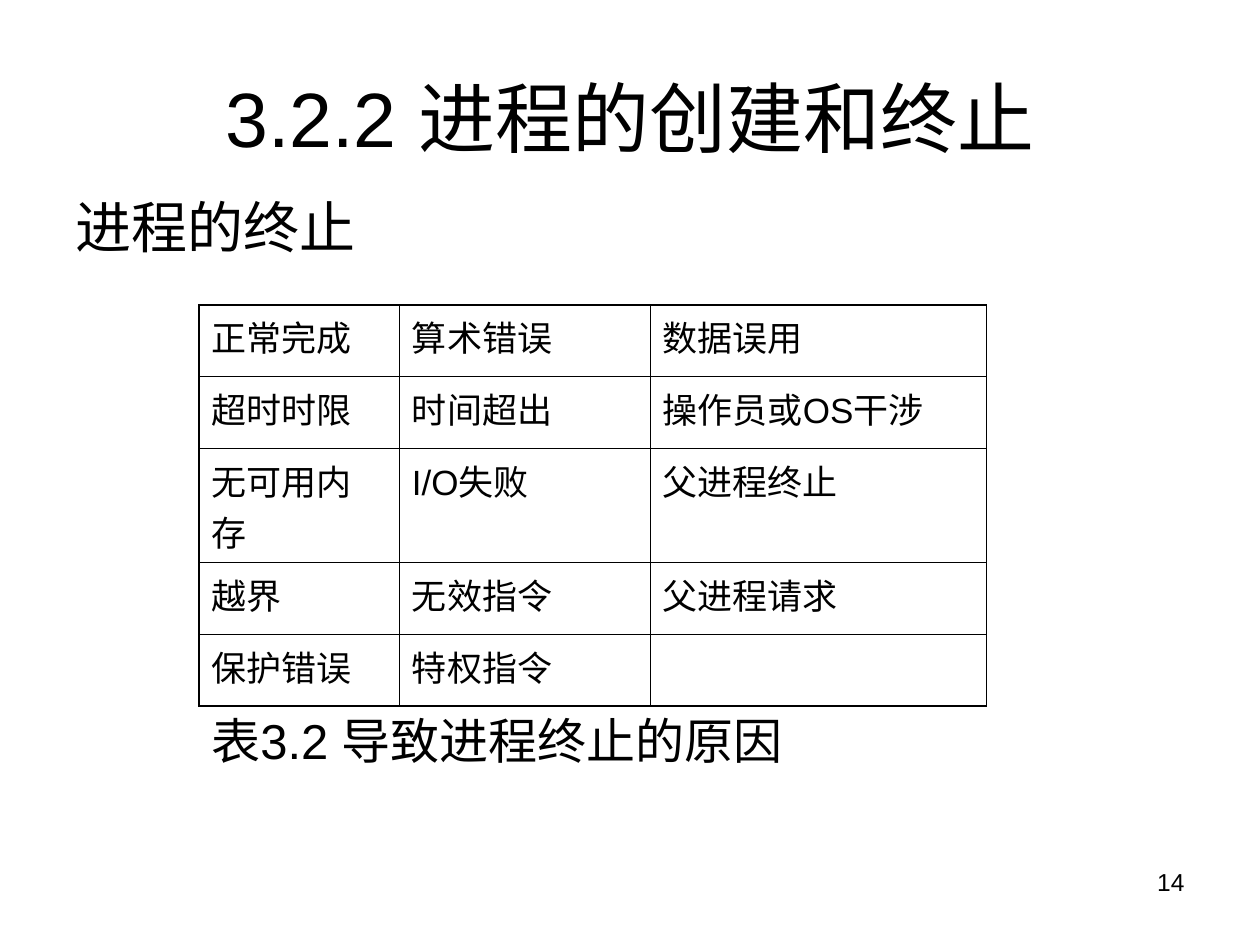
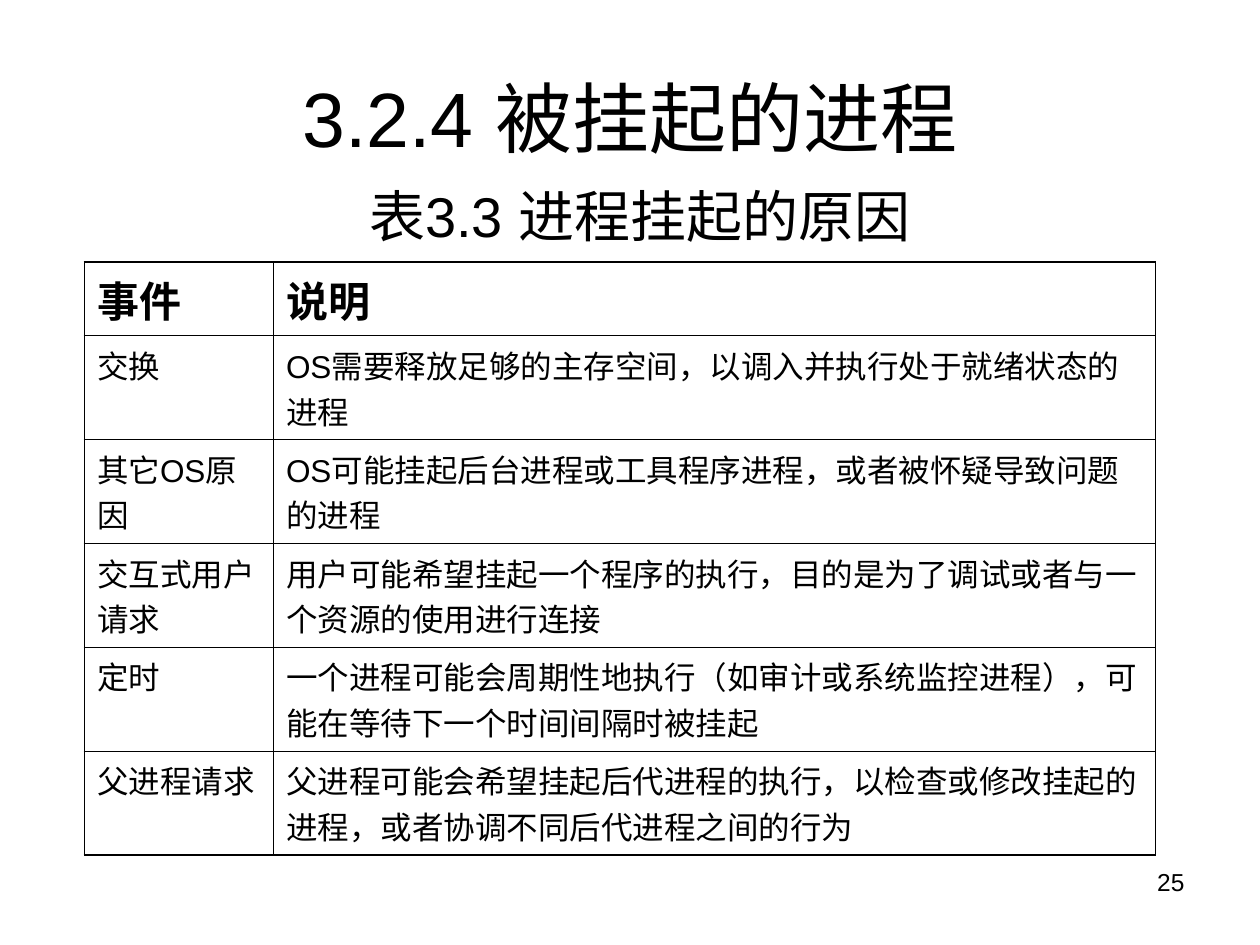
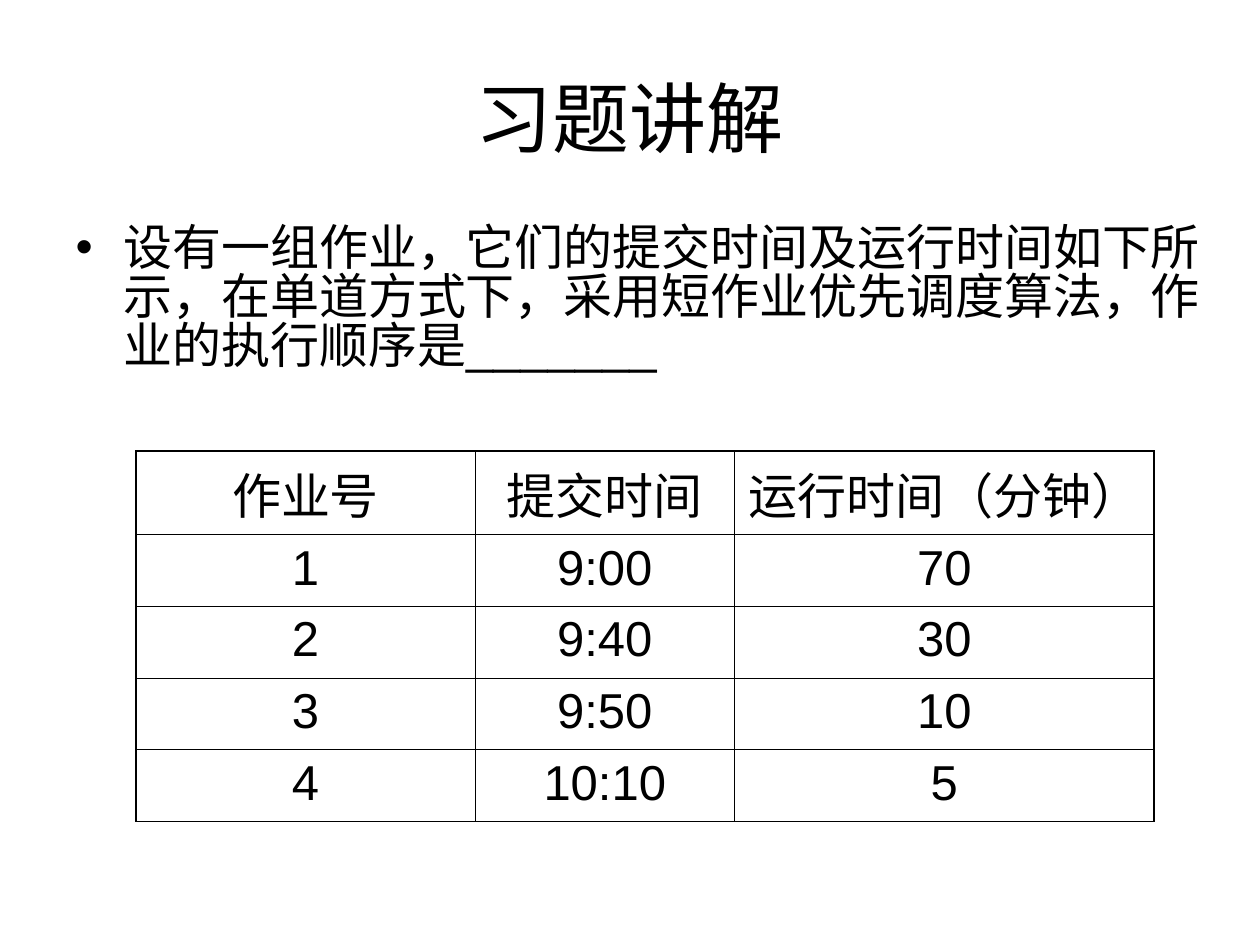
"""Build three lecture slides on process termination, suspension and scheduling."""
from dataclasses import dataclass

from lxml import etree
from pptx import Presentation
from pptx.dml.color import RGBColor
from pptx.enum.text import MSO_ANCHOR, MSO_AUTO_SIZE, PP_ALIGN
from pptx.oxml.ns import qn
from pptx.presentation import Presentation as Deck
from pptx.shapes.base import BaseShape
from pptx.slide import Slide
from pptx.table import _Cell
from pptx.text.text import TextFrame, _Paragraph
from pptx.util import Emu, Pt

LEFT, CENTER, RIGHT = PP_ALIGN.LEFT, PP_ALIGN.CENTER, PP_ALIGN.RIGHT
TOP, MIDDLE = MSO_ANCHOR.TOP, MSO_ANCHOR.MIDDLE
NO_AUTOFIT = MSO_AUTO_SIZE.NONE
EMU_PER_PX = 9144
TITLE_AND_BODY, TITLE_ONLY = 1, 5


@dataclass(frozen=True)
class Theme:
    """Font, colours, type sizes and line widths in points."""
    font: str = "Arial"
    ink: str = "000000"
    paper: str = "FFFFFF"
    title: int = 44
    heading: int = 32
    body: int = 28
    column_head: int = 24
    cell: int = 20
    description: int = 18
    page: int = 14
    frame: float = 1.08
    rule: float = 0.45
    body_spacing: float = 0.83


@dataclass(frozen=True)
class Box:
    """A rectangle in px."""
    left: int
    top: int
    width: int
    height: int


@dataclass(frozen=True)
class Style:
    """How a piece of text is set."""
    size: int
    align: PP_ALIGN = LEFT
    bold: bool = False


@dataclass(frozen=True)
class Label:
    """A free line of text."""
    text: str
    box: Box
    style: Style
    anchor: MSO_ANCHOR = MIDDLE


@dataclass(frozen=True)
class Grid:
    """A ruled table with its place, sizes and text styles."""
    left: int
    top: int
    columns: tuple[int, ...]
    row_heights: tuple[int, ...]
    rows: tuple[tuple[str, ...], ...]
    head: Style
    body: Style


THEME = Theme()
TITLE_BOX = Box(50, 30, 900, 125)
PAGE_BOX = Box(717, 683, 233, 52)
QUESTION_BOX = Box(50, 175, 917, 192)
BULLET_INDENT = 38

CAUSE = Style(THEME.cell)
TERMINATION = Grid(
    158, 242, (159, 199, 267), (57,) * 5,
    (
        ("正常完成", "算术错误", "数据误用"),
        ("超时时限", "时间超出", "操作员或OS干涉"),
        ("无可用内存", "I/O失败", "父进程终止"),
        ("越界", "无效指令", "父进程请求"),
        ("保护错误", "特权指令", ""),
    ),
    CAUSE, CAUSE,
)
SUSPENSION = Grid(
    67, 208, (150, 700), (55,) + (70,) * 5,
    (
        ("事件", "说明"),
        ("交换", "OS需要释放足够的主存空间，以调入并执行处于就绪状态的进程"),
        ("其它OS原因", "OS可能挂起后台进程或工具程序进程，或者被怀疑导致问题的进程"),
        ("交互式用户请求", "用户可能希望挂起一个程序的执行，目的是为了调试或者与一个资源的使用进行连接"),
        ("定时", "一个进程可能会周期性地执行（如审计或系统监控进程），可能在等待下一个时间间隔时被挂起"),
        ("父进程请求", "父进程可能会希望挂起后代进程的执行，以检查或修改挂起的进程，或者协调不同后代进程之间的行为"),
    ),
    Style(THEME.column_head, bold=True), Style(THEME.description),
)
JOB = Style(THEME.body, CENTER)
JOBS = Grid(
    108, 358, (269, 206, 333), (57,) * 5,
    (
        ("作业号", "提交时间", "运行时间（分钟）"),
        ("1", "9:00", "70"),
        ("2", "9:40", "30"),
        ("3", "9:50", "10"),
        ("4", "10:10", "5"),
    ),
    JOB, JOB,
)


def px(length: int) -> Emu:
    """Turn px into EMU."""
    return Emu(length * EMU_PER_PX)


def place(shape: BaseShape, box: Box) -> None:
    """Move a shape to its box."""
    shape.left, shape.top = px(box.left), px(box.top)
    shape.width, shape.height = px(box.width), px(box.height)


def write(paragraph: _Paragraph, text: str, style: Style) -> None:
    """Add one formatted run to a paragraph."""
    paragraph.alignment = style.align
    paragraph.space_before = Pt(0)
    run = paragraph.add_run()
    run.text = text
    run.font.name = THEME.font
    run.font.size = Pt(style.size)
    run.font.bold = style.bold
    run.font.color.rgb = RGBColor.from_string(THEME.ink)


def set_frame(frame: TextFrame, anchor: MSO_ANCHOR) -> None:
    """Give a text frame wrapping, a fixed size, margins and an anchor."""
    frame.word_wrap = True
    frame.auto_size = NO_AUTOFIT
    frame.vertical_anchor = anchor
    frame.margin_left = frame.margin_right = px(10)
    frame.margin_top = frame.margin_bottom = px(5)


def add_label(slide: Slide, label: Label) -> None:
    """Draw a free line of text."""
    box = label.box
    frame = slide.shapes.add_textbox(
        px(box.left), px(box.top), px(box.width), px(box.height)).text_frame
    set_frame(frame, label.anchor)
    write(frame.paragraphs[0], label.text, label.style)


def add_page_number(slide: Slide, number: int) -> None:
    """Draw the page number at the lower right."""
    add_label(slide, Label(str(number), PAGE_BOX, Style(THEME.page, RIGHT), TOP))


def add_titled_slide(deck: Deck, layout: int, title: str) -> Slide:
    """Add a slide and fill its title placeholder."""
    slide = deck.slides.add_slide(deck.slide_layouts[layout])
    slide.background.fill.solid()
    slide.background.fill.fore_color.rgb = RGBColor.from_string(THEME.paper)
    heading = slide.shapes.title
    place(heading, TITLE_BOX)
    set_frame(heading.text_frame, MIDDLE)
    write(heading.text_frame.paragraphs[0], title, Style(THEME.title, CENTER))
    return slide


def add_question(slide: Slide, text: str) -> None:
    """Fill the body placeholder with one bulleted question."""
    question = slide.placeholders[1]
    place(question, QUESTION_BOX)
    set_frame(question.text_frame, TOP)
    paragraph = question.text_frame.paragraphs[0]
    paragraph.line_spacing = THEME.body_spacing
    properties = paragraph._p.get_or_add_pPr()
    properties.set("marL", str(px(BULLET_INDENT)))
    properties.set("indent", str(-px(BULLET_INDENT)))
    etree.SubElement(properties, qn("a:buChar"), char="•")
    write(paragraph, text, Style(THEME.body))


def rule_cell(cell: _Cell, outer: dict[str, bool]) -> None:
    """Rule the four sides of a cell, heavier on the table's outer sides."""
    properties = cell._tc.get_or_add_tcPr()
    for side, is_outer in outer.items():
        width = Pt(THEME.frame if is_outer else THEME.rule)
        line = etree.SubElement(properties, qn(f"a:ln{side}"), w=str(width))
        fill = etree.SubElement(line, qn("a:solidFill"))
        etree.SubElement(fill, qn("a:srgbClr"), val=THEME.ink)


def add_grid(slide: Slide, grid: Grid) -> None:
    """Draw a ruled table without fills."""
    last_row, last_column = len(grid.rows) - 1, len(grid.columns) - 1
    table = slide.shapes.add_table(
        len(grid.rows), len(grid.columns), px(grid.left), px(grid.top),
        px(sum(grid.columns)), px(sum(grid.row_heights))).table
    table.first_row = table.horz_banding = False
    for column, width in zip(table.columns, grid.columns):
        column.width = px(width)
    for row, height in zip(table.rows, grid.row_heights):
        row.height = px(height)
    for r, texts in enumerate(grid.rows):
        for c, text in enumerate(texts):
            cell = table.cell(r, c)
            rule_cell(cell, {"L": c == 0, "R": c == last_column,
                             "T": r == 0, "B": r == last_row})
            cell.fill.background()
            if text:
                write(cell.text_frame.paragraphs[0], text,
                      grid.body if r else grid.head)


def add_termination(deck: Deck) -> None:
    """Build the slide on why processes end."""
    slide = add_titled_slide(deck, TITLE_ONLY, "3.2.2 进程的创建和终止")
    add_page_number(slide, 14)
    add_label(slide, Label("进程的终止", Box(50, 117, 900, 125), Style(THEME.heading)))
    add_label(slide, Label("表3.2 导致进程终止的原因", Box(158, 558, 633, 58),
                           Style(THEME.body)))
    add_grid(slide, TERMINATION)


def add_suspension(deck: Deck) -> None:
    """Build the slide on why processes are suspended."""
    slide = add_titled_slide(deck, TITLE_ONLY, "3.2.4 被挂起的进程")
    add_page_number(slide, 25)
    add_grid(slide, SUSPENSION)
    add_label(slide, Label("表3.3 进程挂起的原因", Box(58, 108, 900, 125),
                           Style(THEME.heading, CENTER)))


def add_exercise(deck: Deck) -> None:
    """Build the slide with the scheduling exercise."""
    slide = add_titled_slide(deck, TITLE_AND_BODY, "习题讲解")
    add_question(slide, "设有一组作业，它们的提交时间及运行时间如下所示，在单道方式下，"
                        "采用短作业优先调度算法，作业的执行顺序是_______")
    add_grid(slide, JOBS)


def main() -> None:
    """Build and save the deck."""
    deck = Presentation()
    deck.slide_width, deck.slide_height = px(1000), px(750)
    add_termination(deck)
    add_suspension(deck)
    add_exercise(deck)
    deck.save("out.pptx")


if __name__ == "__main__":
    main()
